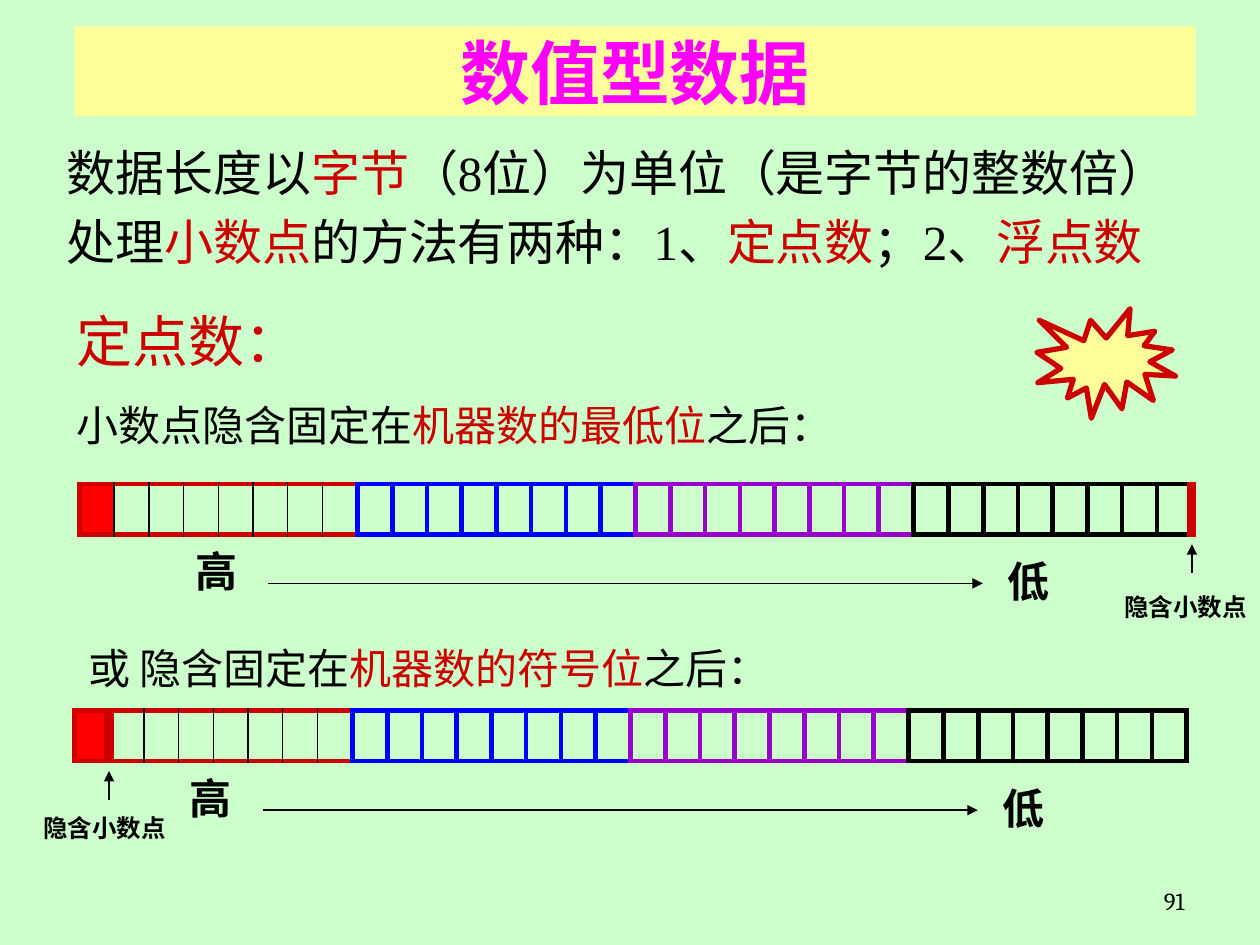
from lxml import etree
from pptx import Presentation
from pptx import util as u
from pptx.dml.color import RGBColor
from pptx.enum import shapes, text
from pptx.oxml import ns

HUE = {"back": "CCFFCC", "pale": "FFFF99", "ink": "000000", "red": "CC0000",
       "sign": "FF0000", "blue": "0000FF", "plum": "9900CC", "pink": "FF00FF"}
SIDES = {"l": "a:lnL", "r": "a:lnR", "t": "a:lnT", "b": "a:lnB"}
ROW_W, ROW_H, BITS = 8.83, 0.4, 8
MID = text.PP_ALIGN.CENTER


def rgb(name):
    return RGBColor.from_string(HUE[name])


def sub(node, tag, **attrs):
    return etree.SubElement(node, ns.qn(tag), attrs)


def fill_text(frame, paras, size, face="Cambria", bold=False, align=None,
              space=0, line=None):
    """Each paragraph is a list of (words, colour) runs."""
    for i, runs in enumerate(paras):
        para = frame.paragraphs[0] if i == 0 else frame.add_paragraph()
        para.alignment = align
        if line:
            para.line_spacing = line
        if i:
            para.space_before = u.Pt(space)
        for words, hue in runs:
            run = para.add_run()
            run.text = words
            font = run.font
            font.size, font.name, font.bold = u.Pt(size), face, bold
            font.color.rgb = rgb(hue)


def add_text(slide, box, paras, size, wrap=True, **style):
    frame = slide.shapes.add_textbox(*map(u.Inches, box)).text_frame
    frame.word_wrap = wrap
    fill_text(frame, paras, size, **style)
    return frame


def add_label(slide, box, words, size):
    add_text(slide, box, [[(words, "ink")]], size, wrap=False,
             bold=True, align=MID, line=1.1)


def add_form(slide, kind, box, edge=None):
    form = slide.shapes.add_shape(kind, *map(u.Inches, box))
    form.shadow.inherit = False
    form.fill.solid()
    form.fill.fore_color.rgb = rgb("pale")
    if edge:
        form.line.color.rgb = rgb(edge)
        form.line.width = u.Pt(3)
    else:
        form.line.fill.background()
    return form


def add_arrow(slide, start, end, width):
    arrow = slide.shapes.add_connector(
        shapes.MSO_CONNECTOR.STRAIGHT, *map(u.Inches, start + end))
    arrow.line.color.rgb = rgb("ink")
    arrow.line.width = u.Pt(width)
    sub(arrow.line._get_or_add_ln(), "a:tailEnd", type="triangle")
    sub(arrow._element.spPr, "a:effectLst")


def set_edges(cell, edges):
    """Draw borders, given as side -> (colour, points)."""
    props = cell._tc.get_or_add_tcPr()
    for spot, (side, tag) in enumerate(SIDES.items()):
        hue, width = edges[side]
        line = etree.Element(ns.qn(tag), w=str(u.Pt(width)))
        sub(sub(line, "a:solidFill"), "a:srgbClr", val=HUE[hue])
        props.insert(spot, line)


def add_byte(slide, left, top, hue, inner, point=None):
    """Eight bits; the point is a thick edge to the right of that bit."""
    width = ROW_W / 4
    grid = slide.shapes.add_table(1, BITS, *map(
        u.Inches, (left, top, width, ROW_H))).table
    grid.first_row = grid.horz_banding = False
    for i in range(BITS):
        grid.columns[i].width = u.Inches(width / BITS)
        cell = grid.cell(0, i)
        cell.margin_left = cell.margin_right = 0
        cell.margin_top = cell.margin_bottom = 0
        if hue == "red" and i == 0:
            cell.fill.solid()
            cell.fill.fore_color.rgb = rgb("sign")
        else:
            cell.fill.background()
        edges = dict.fromkeys(SIDES, (hue, 3))
        if i > 0:
            edges["l"] = inner
        if i < BITS - 1:
            edges["r"] = inner
        if point == i:
            edges["r"] = ("red", 6)
        if point is not None and point == i - 1:
            edges["l"] = ("red", 6)
        set_edges(cell, edges)


def add_word(slide, left, top, point):
    """A 32-bit word with its direction arrow and point marker."""
    for i, hue in enumerate(("red", "blue", "plum", "ink")):
        inner = ("ink", 1) if hue == "red" else (hue, 3)
        byte, bit = divmod(point, BITS)
        add_byte(slide, left + i * ROW_W / 4, top, hue, inner,
                 bit if byte == i else None)

    # High to low
    add_label(slide, (left + 0.82, top + 0.4, 0.53, 0.54), "高", 24)
    add_label(slide, (left + 7.27, top + 0.48, 0.53, 0.54), "低", 24)
    add_arrow(slide, (left + 1.5, top + 0.79), (left + 7.17, top + 0.79), 1)

    # Implied point
    mark = left + (point + 1) * ROW_W / 32
    add_arrow(slide, (mark, top + 0.71), (mark, top + 0.48), 1.5)


def add_head(slide, box):
    frame = add_form(slide, shapes.MSO_SHAPE.RECTANGLE, box).text_frame
    frame.vertical_anchor = text.MSO_ANCHOR.MIDDLE
    fill_text(frame, [[("数值型数据", "pink")]], 40,
              face="Times New Roman", bold=True, align=MID)


def add_intro(slide, box):
    add_text(slide, box, [
        [("数据长度以", "ink"), ("字节", "red"),
         ("（8位）为单位（是字节的整数倍）", "ink")],
        [("处理", "ink"), ("小数点", "red"), ("的方法有两种：1、", "ink"),
         ("定点数", "red"), ("；2、", "ink"), ("浮点数", "red")],
    ], 28, face="Times New Roman", space=6)


def add_fixed(slide, box):
    frame = add_text(slide, box, [
        [("定点数：", "red")],
        [("小数点隐含固定在", "ink"), ("机器数的最低位", "red"),
         ("之后：", "ink")],
    ], 24, space=12, line=1.1)
    frame.paragraphs[0].runs[0].font.size = u.Pt(32)


def main():
    deck = Presentation()
    deck.slide_width, deck.slide_height = u.Inches(10), u.Inches(7.5)
    slide = deck.slides.add_slide(deck.slide_layouts[6])
    slide.background.fill.solid()
    slide.background.fill.fore_color.rgb = rgb("back")

    # Heading and text
    add_head(slide, (0.59, 0.21, 8.9, 0.71))
    add_intro(slide, (0.43, 1.08, 9.46, 1.2))
    add_fixed(slide, (0.51, 2.33, 6.53, 1.34))
    add_form(slide, shapes.MSO_SHAPE.EXPLOSION1, (8.23, 2.45, 1.1, 0.87), "red")

    # Point after the lowest bit
    add_word(slide, 0.63, 3.84, 31)
    add_label(slide, (8.82, 4.63, 1.18, 0.36), "隐含小数点", 14)

    # Point after the sign bit
    add_text(slide, (0.6, 5.01, 5.61, 0.54), [
        [("或 隐含固定在", "ink"), ("机器数的符号位", "red"), ("之后：", "ink")],
    ], 24, wrap=False, align=MID, line=1.1)
    add_word(slide, 0.59, 5.64, 0)
    add_label(slide, (0.24, 6.38, 1.18, 0.36), "隐含小数点", 14)

    # Page number
    add_text(slide, (7.17, 6.98, 2.33, 0.37), [[("91", "ink")]], 14,
             align=text.PP_ALIGN.RIGHT)
    deck.save("out.pptx")


if __name__ == "__main__":
    main()
